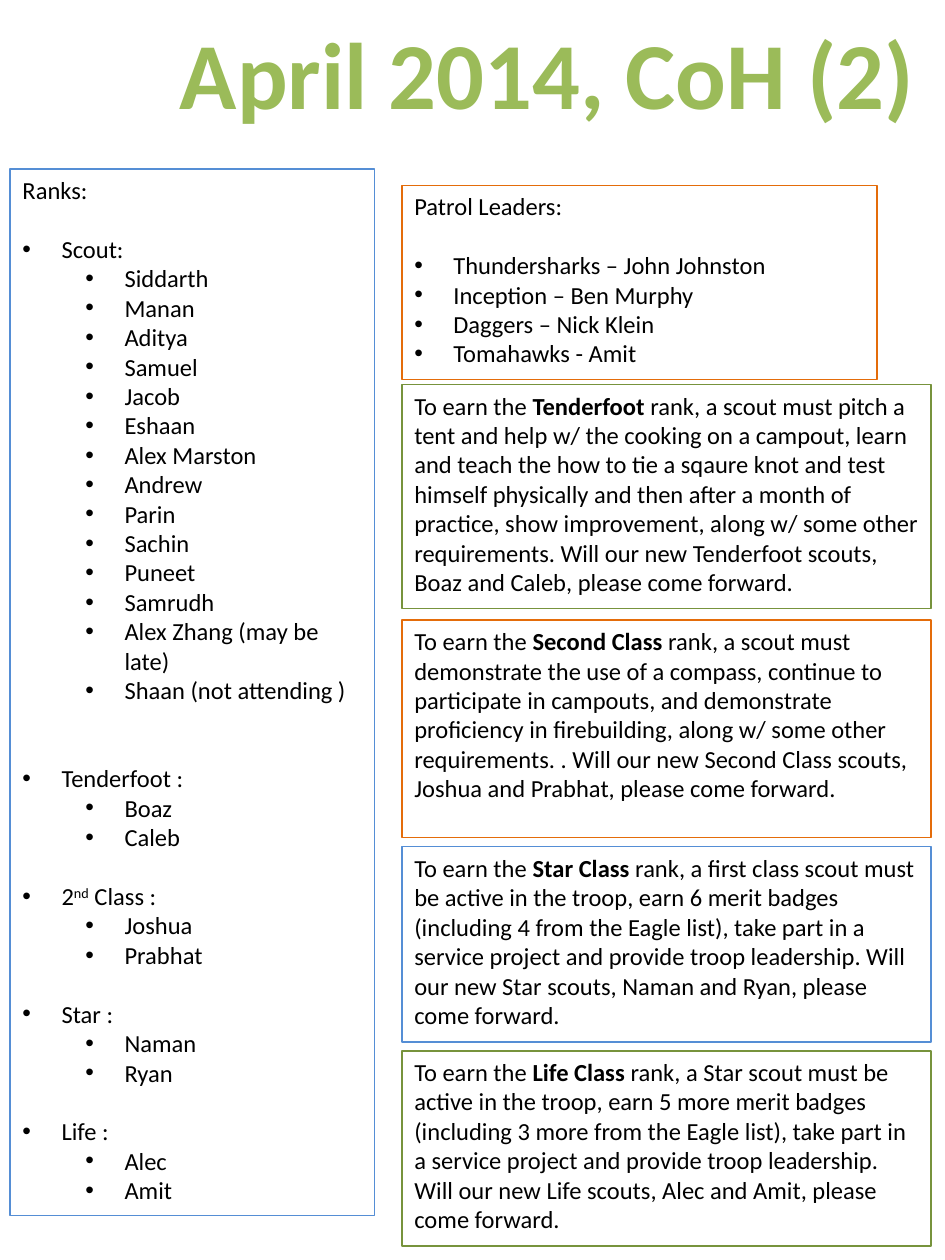
from lxml.etree import SubElement
from pptx import Presentation
from pptx.dml.color import RGBColor
from pptx.enum.text import PP_ALIGN
from pptx.oxml.ns import qn
from pptx.util import Inches, Pt

BLUE, ORANGE, GREEN = "558ED5", "E46C0A", "77933C"
BLACK, TITLE_GREEN, WHITE = "000000", "9BBB59", "FFFFFF"
BODY_SIZE, LINE_PITCH = 14, 16.8
LEFT_COLUMN, RIGHT_COLUMN, RIGHT_WIDTH = 0.08, 3.19, 4.2

TITLE = "April 2014, CoH (2)"

RANKS = [
    ([("Scout:", "")], 1,
     ["Siddarth", "Manan", "Aditya", "Samuel", "Jacob", "Eshaan", "Alex Marston",
      "Andrew", "Parin", "Sachin", "Puneet", "Samrudh", "Alex Zhang (may be late)",
      "Shaan (not attending )"]),
    ([("Tenderfoot :", "")], 2, ["Boaz", "Caleb"]),
    ([("2", ""), ("nd", "superscript"), (" Class : ", "")], 1, ["Joshua", "Prabhat"]),
    ([("Star : ", "")], 1, ["Naman", "Ryan"]),
    ([("Life : ", "")], 1, ["Alec", "Amit"]),
]

PATROLS = ["Thundersharks – John Johnston", "Inception – Ben Murphy",
           "Daggers – Nick Klein", "Tomahawks - Amit"]

REQUIREMENTS = [
    (3.05, 1.78, GREEN, "Tenderfoot",
     "a scout must pitch a tent and help w/ the cooking on a campout, learn and teach "
     "the how to tie a sqaure knot and test himself physically and then after a month of "
     "practice, show improvement, along w/ some other requirements. Will our new "
     "Tenderfoot scouts, Boaz and Caleb, please come forward."),
    (4.92, 1.73, ORANGE, "Second Class",
     "a scout must demonstrate the use of a compass, continue to participate in "
     "campouts, and demonstrate proficiency in firebuilding, along w/ some other "
     "requirements. . Will our new Second Class scouts, Joshua and Prabhat, please "
     "come forward."),
    (6.72, 1.55, BLUE, "Star Class",
     "a first class scout must be active in the troop, earn 6 merit badges (including 4 "
     "from the Eagle list), take part in a service project and provide troop leadership. "
     "Will our new Star scouts, Naman and Ryan, please come forward."),
    (8.34, 1.55, GREEN, "Life Class",
     "a Star scout must be active in the troop, earn 5 more merit badges (including 3 "
     "more from the Eagle list), take part in a service project and provide troop "
     "leadership. Will our new Life scouts, Alec and Amit, please come forward."),
]


def color(value):
    return RGBColor.from_string(value)


def add_box(page, left, top, width, height, line=None):
    box = page.shapes.add_textbox(*map(Inches, (left, top, width, height)))
    box.text_frame.word_wrap = True
    if line:
        box.line.color.rgb = color(line)
        box.line.width = Pt(0.75)
    return box


def write(para, spans, size=BODY_SIZE, ink=BLACK, bold=False):
    para.font.name = "Calibri"
    para.font.size = Pt(size)
    para.font.color.rgb = color(ink)
    para.font.bold = bold
    for text, style in spans:
        span = para.add_run()
        span.text = text
        if style == "bold":
            span.font.bold = True
        elif style == "superscript":
            span.font._element.set("baseline", "30000")


def add_bullet(frame, spans, level=0, gap_lines=0):
    para = frame.add_paragraph()
    para.level = level
    para.space_before = Pt(gap_lines * LINE_PITCH)
    write(para, spans)
    properties = para._p.get_or_add_pPr()
    properties.set("marL", str(Inches(0.31 + 0.5 * level)))
    properties.set("indent", str(-Inches(0.31)))
    bullet_font = properties.makeelement(qn("a:buFont"), {"typeface": "Arial"})
    first_run_default = properties.find(qn("a:defRPr"))
    first_run_default.addprevious(bullet_font)
    bullet = properties.makeelement(qn("a:buChar"), {"char": "•"})
    first_run_default.addprevious(bullet)


deck = Presentation()
deck.slide_width, deck.slide_height = Inches(7.5), Inches(10)
page = deck.slides.add_slide(deck.slide_layouts[6])

title = add_box(page, 1.19, 0.07, 6.31, 1.01)
title.fill.solid()
title.fill.fore_color.rgb = color(WHITE)
title_para = title.text_frame.paragraphs[0]
title_para.alignment = PP_ALIGN.CENTER
write(title_para, [(TITLE, "")], 54, TITLE_GREEN, True)

ranks = add_box(page, LEFT_COLUMN, 1.34, 2.89, 8.31, BLUE).text_frame
write(ranks.paragraphs[0], [("Ranks:", "")])
for heading, gap_lines, scouts in RANKS:
    add_bullet(ranks, heading, gap_lines=gap_lines)
    for scout in scouts:
        add_bullet(ranks, [(scout, "")], level=1)

patrols = add_box(page, RIGHT_COLUMN, 1.47, 3.77, 1.54, ORANGE).text_frame
write(patrols.paragraphs[0], [("Patrol Leaders:", "")])
for index, patrol in enumerate(PATROLS):
    add_bullet(patrols, [(patrol, "")], gap_lines=int(index == 0))

for top, height, line, rank, duties in REQUIREMENTS:
    frame = add_box(page, RIGHT_COLUMN, top, RIGHT_WIDTH, height, line).text_frame
    write(frame.paragraphs[0],
          [("To earn the ", ""), (rank, "bold"), (" rank, " + duties, "")])

for box in page.shapes:
    for para in box.text_frame.paragraphs:
        for span in para.runs:
            span.font.name = para.font.name
            span.font.size = para.font.size
            span.font.color.rgb = para.font.color.rgb
            if span.font.bold is None:
                span.font.bold = para.font.bold

deck.save("out.pptx")
